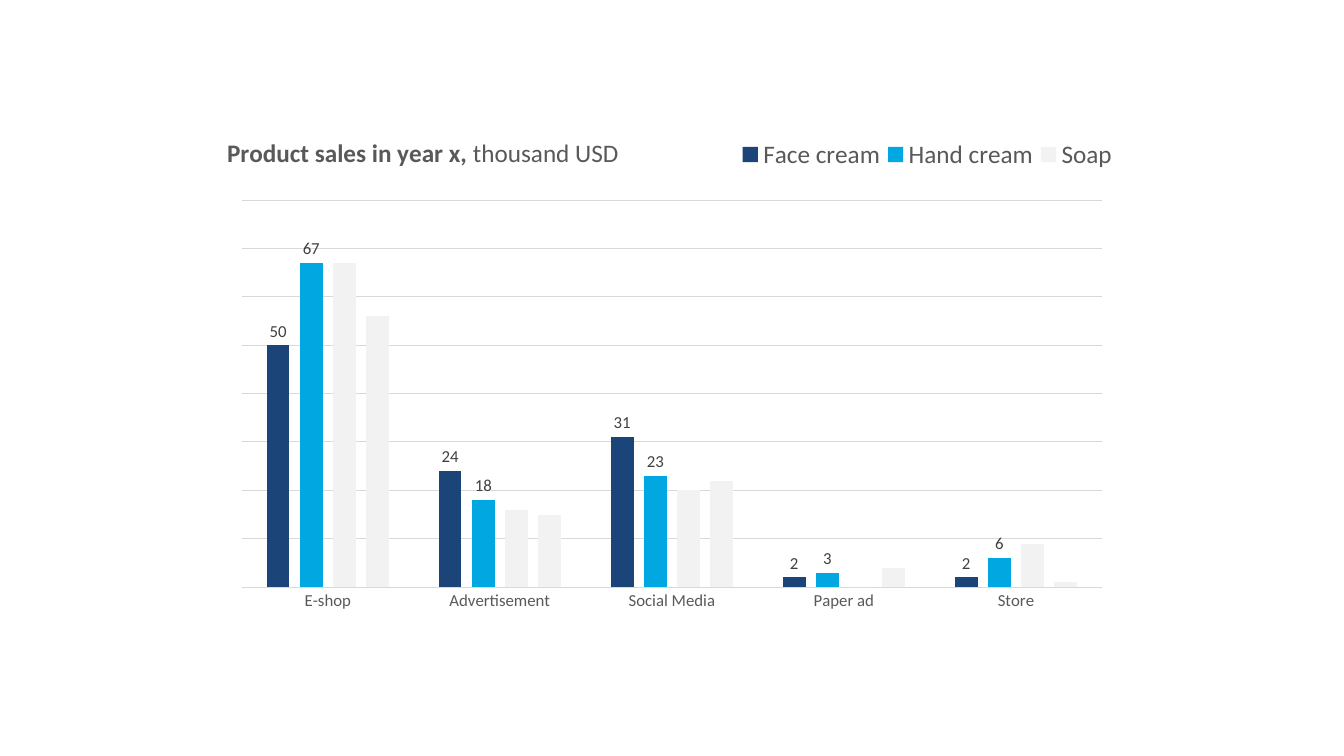
from lxml import etree
from pptx import Presentation
from pptx.chart.data import CategoryChartData
from pptx.dml.color import RGBColor
from pptx.enum.chart import (XL_CHART_TYPE, XL_LABEL_POSITION,
                             XL_LEGEND_POSITION, XL_TICK_MARK)
from pptx.oxml.ns import qn
from pptx.util import Pt

COLUMNS = XL_CHART_TYPE.COLUMN_CLUSTERED
OUTSIDE_END = XL_LABEL_POSITION.OUTSIDE_END
LEGEND_BOTTOM = XL_LEGEND_POSITION.BOTTOM
NO_TICKS = XL_TICK_MARK.NONE

FONT = "Calibri"
GREY, DARK_GREY, LIGHT_GREY = "595959", "404040", "D9D9D9"
CHANNELS = ["E-shop", "Advertisement", "Social Media", "Paper ad", "Store"]
# Product, sales by channel, colour, whether values are labelled
PRODUCTS = [
    ("Face cream", (50, 24, 31, 2, 2), "1B4479", True),
    ("Hand cream", (67, 18, 23, 3, 6), "00A7E1", True),
    ("Soap", (67, 16, 20, 0, 9), "F2F2F2", False),
    ("", (56, 15, 22, 4, 1), "F2F2F2", False),
]


def rgb(color):
    return RGBColor.from_string(color)


def style_font(font, size, color, bold=False):
    font.name = FONT
    font.size = Pt(size)
    font.bold = bold
    font.color.rgb = rgb(color)


def style_line(line):
    line.color.rgb = rgb(LIGHT_GREY)
    line.width = Pt(0.75)


def place(part, position, x, y, width=None, height=None, inner=False):
    """Give a chart part a manual layout in fractions of the chart."""
    for old in part.findall(qn("c:layout")):
        part.remove(old)
    layout = etree.Element(qn("c:layout"))
    manual = etree.SubElement(layout, qn("c:manualLayout"))
    settings = [("xMode", "edge"), ("yMode", "edge"),
                ("x", x), ("y", y), ("w", width), ("h", height)]
    if inner:
        settings.insert(0, ("layoutTarget", "inner"))
    for name, value in settings:
        if value is not None:
            etree.SubElement(manual, qn("c:" + name)).set("val", str(value))
    part.insert(position, layout)


def add_sales_chart(page):
    data = CategoryChartData()
    data.categories = CHANNELS
    for name, sales, _, _ in PRODUCTS:
        data.add_series(name, sales)
    chart = page.shapes.add_chart(COLUMNS, Pt(160), Pt(95), Pt(640), Pt(384),
                                  data).chart
    style_font(chart.font, 10, "000000")
    return chart


def style_columns(chart):
    plot = chart.plots[0]
    plot.gap_width = 219
    plot.overlap = -46
    plot.vary_by_categories = False
    for series, (_, _, color, labelled) in zip(plot.series, PRODUCTS):
        series.format.fill.solid()
        series.format.fill.fore_color.rgb = rgb(color)
        series.invert_if_negative = False
        if labelled:
            labels = series.data_labels
            labels.show_value = True
            labels.position = OUTSIDE_END
            style_font(labels.font, 12, DARK_GREY)
    plot_area = chart.element.find(".//" + qn("c:plotArea"))
    place(plot_area, 0, 0.02, 1 / 8, 0.96, 0.72, inner=True)


def style_axes(chart):
    channels = chart.category_axis
    channels.major_tick_mark = NO_TICKS
    style_font(channels.tick_labels.font, 12, GREY)
    style_line(channels.format.line)
    values = chart.value_axis
    values.minimum_scale, values.maximum_scale = 0, 80
    values.major_unit = 10
    values.major_tick_mark = NO_TICKS
    values.visible = False
    style_line(values.major_gridlines.format.line)


def add_title(chart):
    title = chart.chart_title
    para = title.text_frame.paragraphs[0]
    for text, bold in (("Product sales in year x,", True),
                       (" thousand USD", False)):
        run = para.add_run()
        run.text = text
        style_font(run.font, 18, GREY, bold)
    place(title.element, 1, 0, 0)


def add_legend(chart):
    chart.has_legend = True
    legend = chart.legend
    legend.position = LEGEND_BOTTOM
    legend.include_in_layout = False
    style_font(legend.font, 18, GREY)
    part = chart.element.find(".//" + qn("c:legend"))
    # Only named products have a legend entry
    for index, (name, _, _, _) in enumerate(PRODUCTS):
        if not name:
            entry = etree.Element(qn("c:legendEntry"))
            etree.SubElement(entry, qn("c:idx")).set("val", str(index))
            etree.SubElement(entry, qn("c:delete")).set("val", "1")
            part.insert(1, entry)
    place(part, 2, 0.57, 0.01, 0.43, 0.06)


def main():
    deck = Presentation()
    deck.slide_width, deck.slide_height = Pt(960), Pt(540)
    page = deck.slides.add_slide(deck.slide_layouts[6])
    chart = add_sales_chart(page)
    style_columns(chart)
    style_axes(chart)
    add_title(chart)
    add_legend(chart)
    deck.save("out.pptx")


if __name__ == "__main__":
    main()
